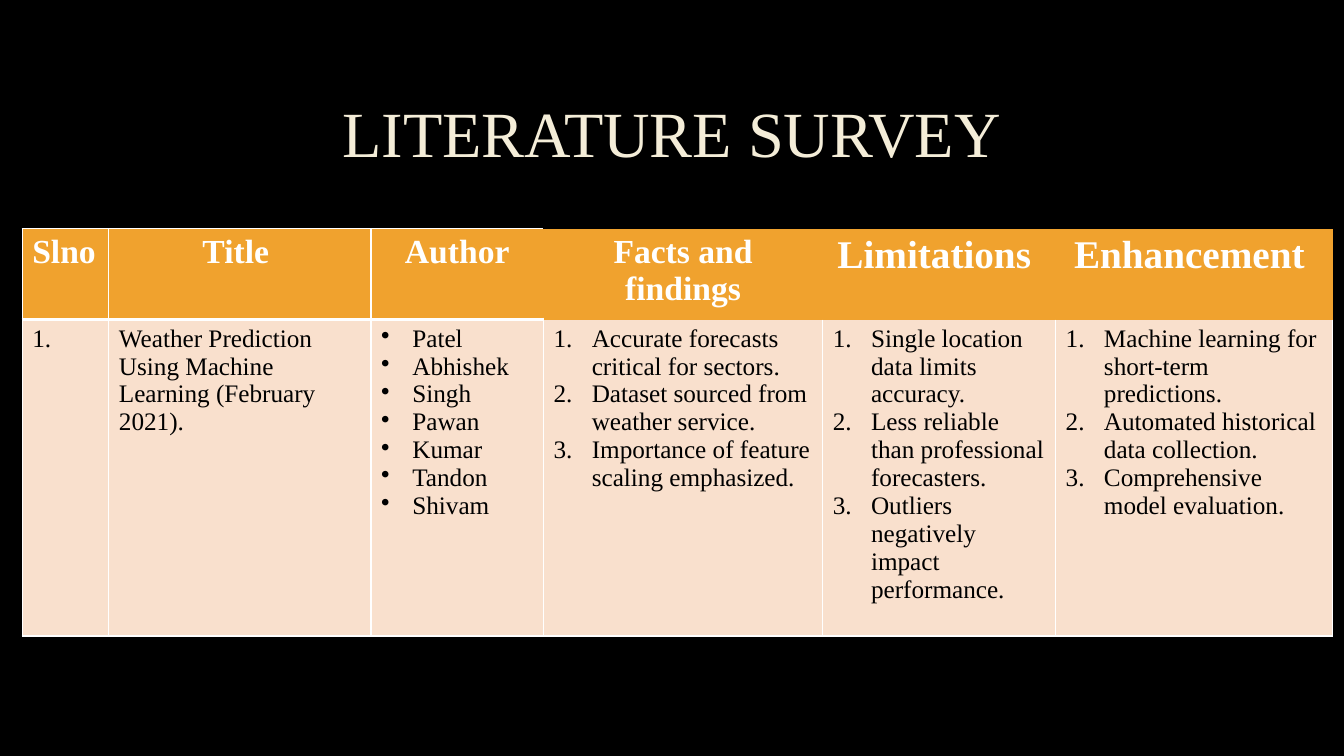
from lxml import etree
from pptx import Presentation
from pptx.dml.color import RGBColor
from pptx.enum.text import MSO_ANCHOR, PP_ALIGN
from pptx.oxml.ns import qn
from pptx.util import Inches, Pt

CENTER = PP_ALIGN.CENTER
LEFT = PP_ALIGN.LEFT
MIDDLE = MSO_ANCHOR.MIDDLE

FONT = "Times New Roman"
COLORS = {
    "background": "000000",
    "title": "F4EDD8",
    "header": "F0A22E",
    "body": "F9E0CD",
    "border": "FFFFFF",
    "header_text": "FFFFFF",
    "body_text": "000000",
}
TITLE = "LITERATURE SURVEY"
HEADERS = [
    ("Slno", 24, LEFT),
    ("Title ", 24, CENTER),
    ("Author", 24, CENTER),
    ("Facts and findings", 24, CENTER),
    ("Limitations ", 28, CENTER),
    ("Enhancement ", 28, CENTER),
]
ENTRY = [
    ("plain", ["1."]),
    ("plain", ["Weather Prediction Using Machine Learning (February 2021)."]),
    ("bullet", ["Patel", "Abhishek", "Singh", "Pawan", "Kumar", "Tandon", "Shivam"]),
    ("number", [
        "Accurate forecasts critical for sectors.",
        "Dataset sourced from weather service.",
        "Importance of feature scaling emphasized.",
    ]),
    ("number", [
        "Single location data limits accuracy.",
        "Less reliable than professional forecasters.",
        "Outliers negatively impact performance.",
    ]),
    ("number", [
        "Machine learning for short-term predictions.",
        "Automated historical data collection.",
        "Comprehensive model evaluation.",
    ]),
]
LIST_STYLES = {
    "bullet": (0.31, "a:buChar", {"char": "•"}),
    "number": (0.38, "a:buAutoNum", {"type": "arabicPeriod"}),
}
COLUMN_WIDTHS = [0.86, 2.6, 1.71, 2.77, 2.31, 2.75]
ROW_HEIGHTS = [0.86, 3.14]
HEADER_BORDERS = {"L": 1, "R": 1, "T": 1, "B": 3}
AUTHOR_HEADER_BORDERS = {"L": 1, "T": 1, "B": 3}
ENTRY_BORDERS = {"L": 1, "R": 1, "T": 1, "B": 1}
OPEN_TOP_BORDERS = {"L": 1, "R": 1, "B": 1}
BORDERS = [
    [HEADER_BORDERS] * 2 + [AUTHOR_HEADER_BORDERS] + [{}] * 3,
    [ENTRY_BORDERS] * 3 + [OPEN_TOP_BORDERS] * 3,
]


def color(name):
    return RGBColor.from_string(COLORS[name])


def format_text(paragraph, size, color_name, bold=False):
    for run in paragraph.runs:
        run.font.name = FONT
        run.font.size = Pt(size)
        run.font.bold = bold
        run.font.color.rgb = color(color_name)


def set_list_style(paragraph, style):
    indent, tag, attributes = LIST_STYLES[style]
    properties = paragraph._p.get_or_add_pPr()
    properties.set("marL", str(Inches(indent)))
    properties.set("indent", str(-Inches(indent)))
    etree.SubElement(properties, qn(tag), attributes)


def set_borders(cell, widths):
    properties = cell._tc.get_or_add_tcPr()
    for position, side in enumerate("LRTB"):
        line = etree.Element(qn(f"a:ln{side}"))
        if side in widths:
            line.set("w", str(Pt(widths[side])))
            fill = etree.SubElement(line, qn("a:solidFill"))
            etree.SubElement(fill, qn("a:srgbClr"), val=COLORS["border"])
        else:
            etree.SubElement(line, qn("a:noFill"))
        properties.insert(position, line)


def fill_cell(cell, fill_name, widths):
    cell.fill.solid()
    cell.fill.fore_color.rgb = color(fill_name)
    set_borders(cell, widths)


def add_title(slide):
    box = slide.shapes.add_textbox(Inches(1), Inches(0.67), Inches(11.32), Inches(1.38))
    frame = box.text_frame
    frame.word_wrap = True
    frame.vertical_anchor = MIDDLE
    frame.text = TITLE
    paragraph = frame.paragraphs[0]
    paragraph.alignment = CENTER
    paragraph.line_spacing = 0.9
    format_text(paragraph, 46, "title")


def add_survey_table(slide):
    table = slide.shapes.add_table(
        len(ROW_HEIGHTS), len(COLUMN_WIDTHS), Inches(0.22), Inches(2.27),
        Inches(sum(COLUMN_WIDTHS)), Inches(sum(ROW_HEIGHTS)),
    ).table
    for column, width in zip(table.columns, COLUMN_WIDTHS):
        column.width = Inches(width)
    for row, height in zip(table.rows, ROW_HEIGHTS):
        row.height = Inches(height)

    for index, (text, size, alignment) in enumerate(HEADERS):
        cell = table.cell(0, index)
        fill_cell(cell, "header", BORDERS[0][index])
        cell.text_frame.text = text
        paragraph = cell.text_frame.paragraphs[0]
        paragraph.alignment = alignment
        format_text(paragraph, size, "header_text", bold=True)

    for index, (style, lines) in enumerate(ENTRY):
        cell = table.cell(1, index)
        fill_cell(cell, "body", BORDERS[1][index])
        cell.text_frame.text = "\n".join(lines)
        for paragraph in cell.text_frame.paragraphs:
            if style in LIST_STYLES:
                set_list_style(paragraph, style)
            format_text(paragraph, 18, "body_text")


def main():
    presentation = Presentation()
    presentation.slide_width = Inches(13.33)
    presentation.slide_height = Inches(7.5)
    slide = presentation.slides.add_slide(presentation.slide_layouts[6])
    slide.background.fill.solid()
    slide.background.fill.fore_color.rgb = color("background")
    add_title(slide)
    add_survey_table(slide)
    presentation.save("out.pptx")


if __name__ == "__main__":
    main()
